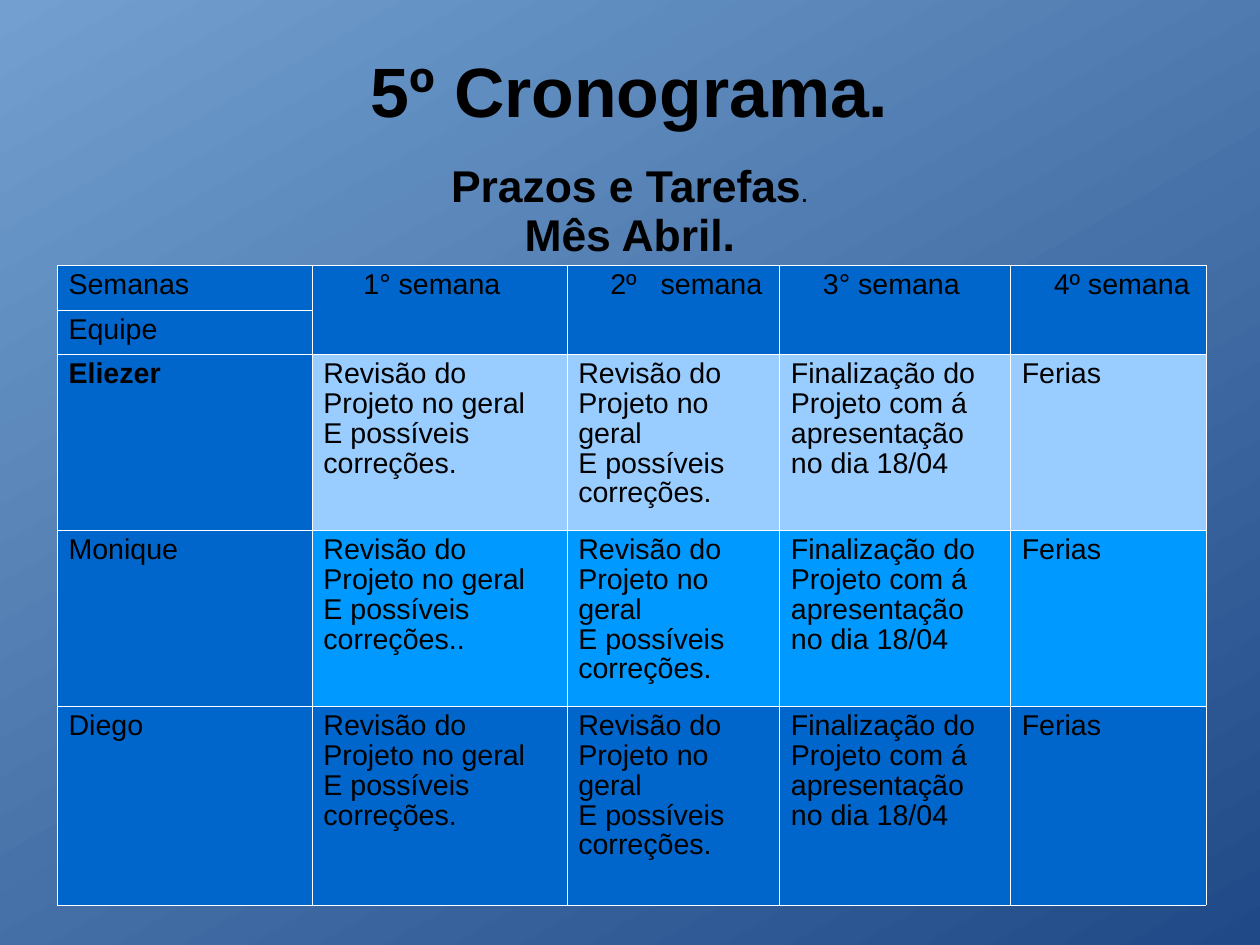
from pptx import Presentation
from pptx.dml.color import RGBColor
from pptx.enum.text import MSO_ANCHOR as ANCHOR, PP_ALIGN as ALIGN
from pptx.oxml import parse_xml
from pptx.oxml.ns import nsdecls
from pptx.util import Inches, Pt

BLACK = RGBColor(0x00, 0x00, 0x00)
WHITE = RGBColor(0xFF, 0xFF, 0xFF)
SKY = RGBColor(0x72, 0x9F, 0xCF)
NAVY = RGBColor(0x20, 0x4A, 0x87)
BLUE = RGBColor(0x00, 0x66, 0xCC)
BRIGHT = RGBColor(0x00, 0x99, 0xFF)
PALE = RGBColor(0x99, 0xCC, 0xFF)

CM_PER_INCH = 2.54
COLS = [2.23, 2.23, 1.86, 2.02, 1.71]
ROWS = [0.39, 0.39, 1.54, 1.54, 1.74]
WEEKS = [("1° semana", 0.45), ("2º\tsemana", 0.38), ("3° semana", 0.38), ("4º semana", 0.38)]
TEAM = [("Eliezer", PALE, True, "."), ("Monique", BRIGHT, False, ".."), ("Diego", BLUE, False, ".")]
REVIEW = "Revisão do Projeto no geral"
FIXES = "E possíveis correções"
FINISH = "Finalização do Projeto com á apresentação no dia 18/04"


def write(tf, paragraphs, size=18, bold=False, align=ALIGN.LEFT, tab=None):
    for i, runs in enumerate(paragraphs):
        p = tf.paragraphs[0] if i == 0 else tf.add_paragraph()
        p.alignment = align
        p.line_spacing = 0.93
        if tab:
            p._p.get_or_add_pPr().append(parse_xml(
                f'<a:tabLst {nsdecls("a")}><a:tab pos="{Inches(tab)}" algn="l"/></a:tabLst>'))
        for text, own in [(runs, {})] if isinstance(runs, str) else runs:
            r = p.add_run()
            r.text = text
            r.font.name = "Arial"
            r.font.size = Pt(own.get("size", size))
            r.font.bold = own.get("bold", bold)
            r.font.color.rgb = BLACK


class Deck:
    font_size = 18
    border = WHITE
    border_width = Pt(0.06)

    def __init__(self, width, height):
        self.prs = Presentation()
        self.prs.slide_width = Inches(width)
        self.prs.slide_height = Inches(height)
        self.s = self.prs.slides.add_slide(self.prs.slide_layouts[6])

    def background(self, start, end, angle):
        fill = self.s.background.fill
        fill.gradient()
        fill.gradient_angle = angle
        for stop, color, position in zip(fill.gradient_stops, (start, end), (0, 1)):
            stop.color.rgb = color
            stop.position = position

    def text(self, x, y, w, h, paragraphs, size, margins, anchor=ANCHOR.TOP):
        tf = self.s.shapes.add_textbox(*map(Inches, (x, y, w, h))).text_frame
        tf.word_wrap = True
        tf.vertical_anchor = anchor
        tf.margin_left, tf.margin_top, tf.margin_right, tf.margin_bottom = map(Inches, margins)
        write(tf, paragraphs, size, True, ALIGN.CENTER)

    def table(self, x, y, cols, rows):
        frame = self.s.shapes.add_table(
            len(rows), len(cols), *map(Inches, (x, y, sum(cols), sum(rows))))
        table = frame.table
        table.first_row = table.horz_banding = False
        for column, width in zip(table.columns, cols):
            column.width = Inches(width)
        for row, height in zip(table.rows, rows):
            row.height = Inches(height)
        return table

    def cell(self, cell, fill, paragraphs=(), bold=False, left=0.1, tab=None):
        cell.margin_left, cell.margin_right = Inches(left), Inches(0.1)
        cell.margin_top = cell.margin_bottom = Inches(0.05)
        write(cell.text_frame, paragraphs, self.font_size, bold, tab=tab)
        tcPr = cell._tc.get_or_add_tcPr()
        for side in ("lnL", "lnR", "lnT", "lnB"):
            tcPr.append(parse_xml(
                f'<a:{side} {nsdecls("a")} w="{self.border_width}"><a:solidFill>'
                f'<a:srgbClr val="{self.border}"/></a:solidFill></a:{side}>'))
        cell.fill.solid()
        cell.fill.fore_color.rgb = fill


def main():
    deck = Deck(28 / CM_PER_INCH, 21 / CM_PER_INCH)
    deck.background(SKY, NAVY, 300)
    deck.text(0.55, 0.27, 9.92, 1.07, ["5º Cronograma."], 44, (0, 0.04, 0, 0), ANCHOR.MIDDLE)

    schedule = deck.table(0.5, 2.32, COLS, ROWS)
    deck.cell(schedule.cell(0, 0), BLUE, ["Semanas"])
    deck.cell(schedule.cell(1, 0), BLUE, ["Equipe"])
    for col, (week, left) in enumerate(WEEKS, 1):
        schedule.cell(0, col).merge(schedule.cell(1, col))
        deck.cell(schedule.cell(0, col), BLUE, [week], left=left, tab=0.44 if "\t" in week else None)
        deck.cell(schedule.cell(1, col), BLUE)
    for row, (member, fill, bold, ending) in enumerate(TEAM, 2):
        deck.cell(schedule.cell(row, 0), BLUE, [member], bold)
        tasks = [[REVIEW, FIXES + ending], [REVIEW, FIXES + "."], [FINISH], ["Ferias"]]
        for col, task in enumerate(tasks, 1):
            deck.cell(schedule.cell(row, col), fill, task)

    subtitle = [[("Prazos e Tarefas", {}), (".", {"size": 18, "bold": False})], "Mês Abril."]
    deck.text(0.55, 1.34, 9.92, 0.99, subtitle, 28, (0.1, 0.08, 0.1, 0.05))
    deck.prs.save("out.pptx")


if __name__ == "__main__":
    main()
